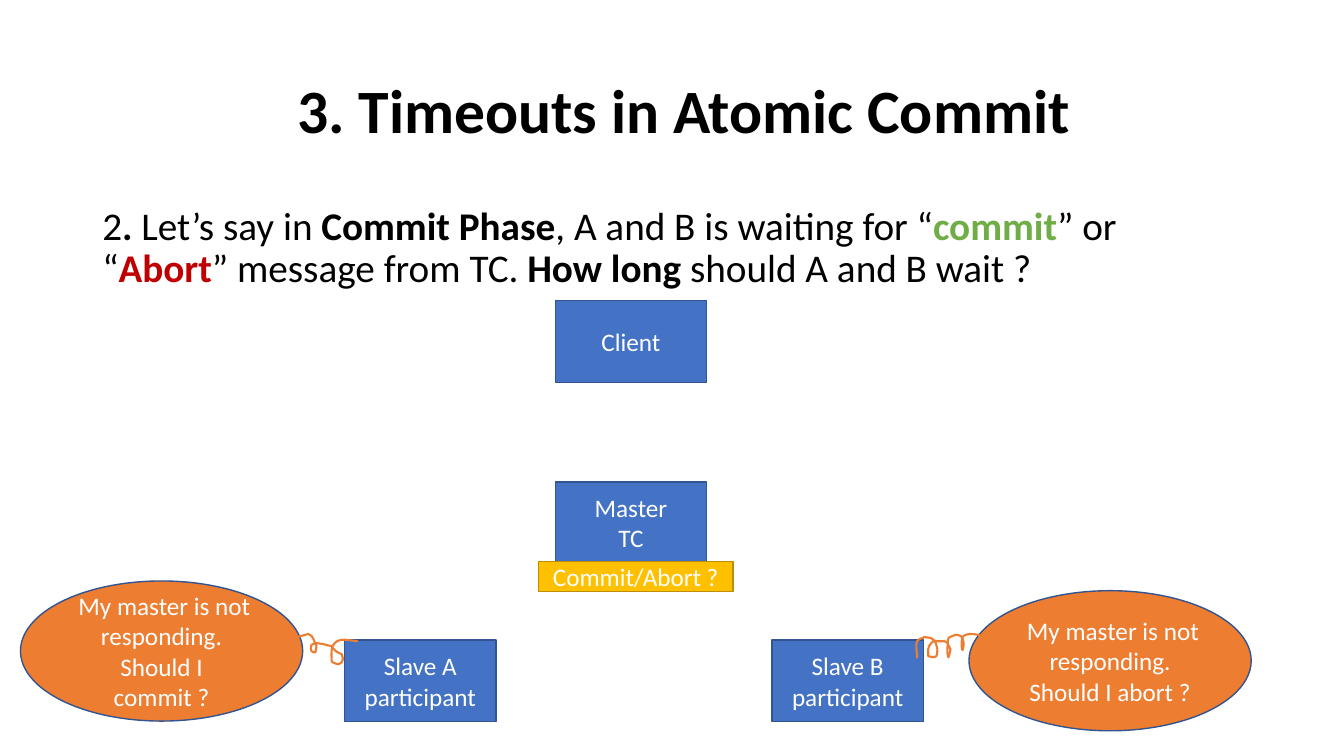
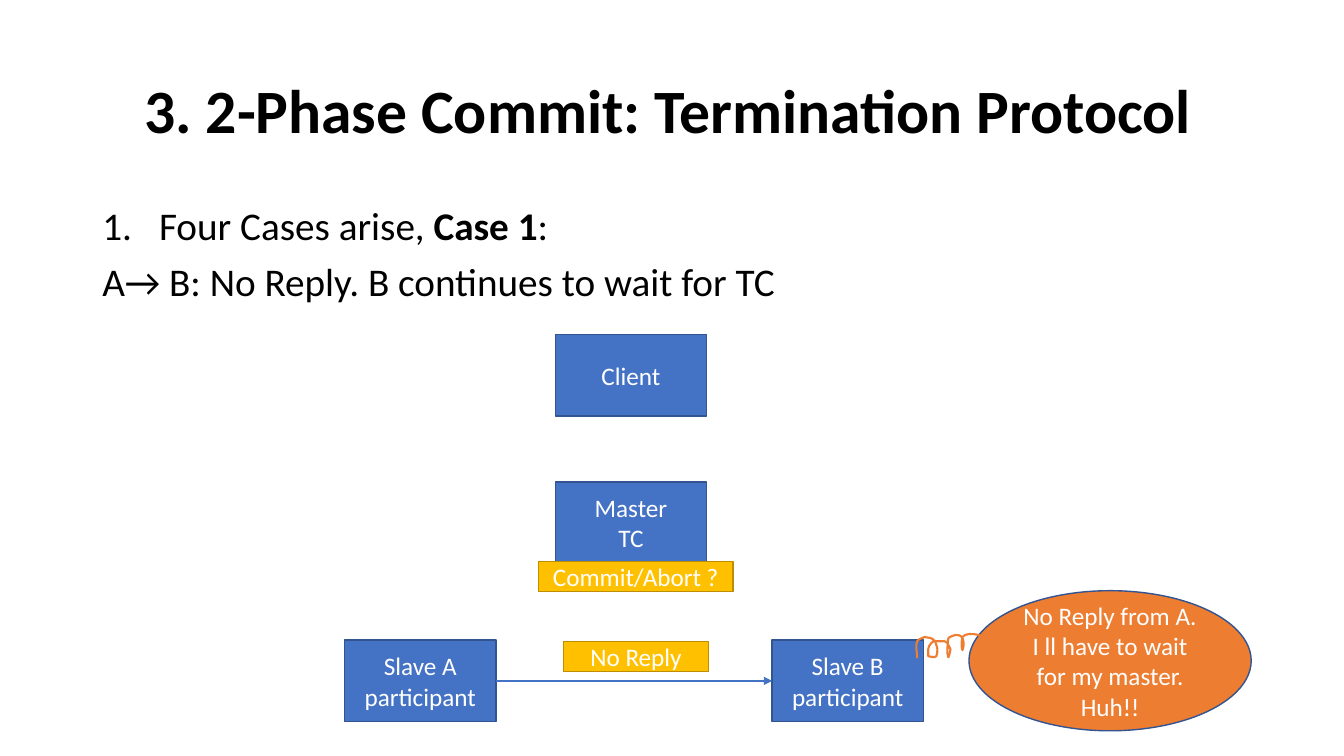
from lxml.etree import SubElement
from pptx import Presentation
from pptx.dml.color import RGBColor
from pptx.enum.shapes import MSO_CONNECTOR as Connector, MSO_SHAPE as Shape
from pptx.enum.text import MSO_ANCHOR as Anchor, PP_ALIGN as Align
from pptx.oxml.ns import qn
from pptx.util import Emu, Pt

COLUMNS, ROWS = 80, 45
CELL = 152400
FONT = "Calibri"
COLORS = {
    "black": "000000", "white": "FFFFFF", "green": "70AD47", "red": "C00000",
    "blue": "4472C4", "navy": "325491", "orange": "ED7D31",
    "gold": "FFC000", "bronze": "BD8E00",
}
BOX_SIZE = (9, 4.86)
BUBBLE_SIZE = (16.8, 8.34)
BODY_SIZE = 28
NODE_COLUMN = 33.06
SLAVE_ROW = 38.1
SLAVE_COLUMNS = {"Slave A": 20.52, "Slave B": 45.96}
SQUIGGLE_UNIT = 0.06
LEFT_SQUIGGLE = [
    (0, 16), (2, 9), (1, 6), (9, 3), (11, 2), (14, 2), (16, 1),
    (17, 1), (19, 0), (20, 0), (23, 2), (24, 2), (25, 5),
    (26, 8), (28, 12), (28, 12), (27, 14), (28, 17), (27, 18),
    (26, 19), (24, 18), (23, 17), (21, 10), (24, 10), (28, 9),
    (30, 9), (32, 10), (35, 10), (36, 10), (37, 11), (38, 11),
    (40, 12), (41, 12), (43, 12), (44, 14), (45, 15), (46, 16),
    (48, 18), (53, 20), (53, 20), (54, 23), (55, 25), (53, 28),
    (52, 29), (51, 29), (50, 30), (48, 29), (46, 30), (44, 28),
    (43, 28), (43, 26), (43, 25), (43, 19), (42, 13), (46, 9),
    (52, 3), (62, 7), (69, 7),
]
RIGHT_SQUIGGLE = [
    (1, 24), (1, 18), (-1, 12), (1, 7), (2, 5), (7, 4), (8, 3),
    (13, 4), (16, 3), (19, 8), (20, 10), (21, 15), (21, 15),
    (21, 17), (21, 20), (20, 22), (18, 24), (13, 22), (12, 22),
    (12, 16), (11, 13), (15, 9), (16, 8), (17, 7), (19, 7),
    (28, 8), (29, 5), (32, 11), (33, 12), (33, 14), (34, 15),
    (33, 17), (34, 20), (32, 23), (32, 24), (31, 20), (31, 19),
    (31, 14), (31, 9), (32, 4), (33, 3), (38, 1), (39, 1),
    (41, 1), (43, 1), (44, 2), (46, 3), (47, 7), (47, 9),
    (47, 11), (47, 14), (46, 16), (46, 17), (45, 14), (45, 12),
    (45, 9), (45, 6), (46, 3), (47, 1), (52, 0), (53, 0),
    (56, 0), (59, 0), (62, 1), (63, 1), (63, 3), (63, 4),
    (64, 5), (65, 6), (66, 7),
]


def cells(*values):
    """Turn grid cells into lengths."""
    return [Emu(round(value * CELL)) for value in values]


def rgb(name):
    """Look up a named colour."""
    return RGBColor.from_string(COLORS[name])


def bend(shape):
    """Join every three straight segments of a freeform into one cubic curve."""
    segments = list(shape._element.iter(qn("a:lnTo")))
    for first in range(0, len(segments), 3):
        trio = segments[first:first + 3]
        outline = trio[0].getparent()
        curve = SubElement(outline, qn("a:cubicBezTo"))
        for segment in trio:
            curve.append(segment[0])
            outline.remove(segment)


def write_text(shape, paragraphs, size=18, color="white", bold=False, align=Align.CENTER,
               anchor=Anchor.MIDDLE, line_spacing=None, space_before=0, indent=0, numbered=()):
    """Fill a shape with paragraphs made of strings or (string, format) runs."""
    frame = shape.text_frame
    frame.word_wrap = True
    frame.vertical_anchor = anchor
    for index, runs in enumerate(paragraphs):
        paragraph = frame.paragraphs[0] if index == 0 else frame.add_paragraph()
        properties = paragraph._p.get_or_add_pPr()
        if index in numbered:
            hanging = cells(3.38)[0]
            properties.set("marL", str(hanging))
            properties.set("indent", str(-hanging))
            SubElement(properties, qn("a:buAutoNum"), type="arabicPeriod")
        elif indent:
            properties.set("marL", str(cells(indent)[0]))
        paragraph.alignment = align
        if line_spacing:
            paragraph.line_spacing = line_spacing
        if index and space_before:
            paragraph.space_before = Pt(space_before)
        for part in [runs] if isinstance(runs, str) else runs:
            text, style = (part, {}) if isinstance(part, str) else part
            run = paragraph.add_run()
            run.text = text
            run.font.name = FONT
            run.font.size = Pt(size)
            run.font.bold = style.get("bold", bold)
            run.font.color.rgb = rgb(style.get("color", color))


class Deck:
    """Hold the shared style and the current slide."""

    def __init__(self):
        """Open an empty presentation on the grid."""
        self.presentation = Presentation()
        self.presentation.slide_width, self.presentation.slide_height = cells(COLUMNS, ROWS)
        self.slide = None

    def add_slide(self, title, indent, body, **body_format):
        """Start a slide with its title and body text."""
        self.slide = self.presentation.slides.add_slide(self.presentation.slide_layouts[6])
        self.text_box(2.4, 8.7, [title], size=44, bold=True, indent=indent)
        self.text_box(12, 28.56, body, size=BODY_SIZE, anchor=Anchor.TOP,
                      space_before=10, **body_format)

    def text_box(self, row, height, paragraphs, **text_format):
        """Add black text across the content width."""
        box = self.slide.shapes.add_textbox(*cells(5.5, row, 69, height))
        write_text(box, paragraphs, color="black", align=Align.LEFT, line_spacing=0.9,
                   **text_format)

    def block(self, kind, column, row, size, fill, line, *paragraphs):
        """Add a filled, outlined shape with centred text."""
        shape = self.slide.shapes.add_shape(kind, *cells(column, row, *size))
        shape.shadow.inherit = False
        shape.fill.solid()
        shape.fill.fore_color.rgb = rgb(fill)
        shape.line.color.rgb = rgb(line)
        shape.line.width = Pt(1)
        write_text(shape, paragraphs)

    def node(self, column, row, *paragraphs):
        """Add a blue system node."""
        self.block(Shape.RECTANGLE, column, row, BOX_SIZE, "blue", "navy", *paragraphs)

    def tag(self, column, row, width, text):
        """Add a gold message tag."""
        self.block(Shape.RECTANGLE, column, row, (width, 1.8), "gold", "bronze", text)

    def bubble(self, column, row, text):
        """Add an orange thought bubble."""
        self.block(Shape.OVAL, column, row, BUBBLE_SIZE, "orange", "navy", text)

    def squiggle(self, column, row, points):
        """Add a curly line that ties a bubble to its node."""
        builder = self.slide.shapes.build_freeform(*points[0], scale=SQUIGGLE_UNIT * CELL)
        builder.add_line_segments(points[1:], close=False)
        shape = builder.convert_to_shape(*cells(column, row))
        bend(shape)
        shape.shadow.inherit = False
        shape.fill.background()
        shape.line.color.rgb = rgb("orange")
        shape.line.width = Pt(1.5)

    def arrow(self, *ends):
        """Add a blue arrow between two grid points."""
        connector = self.slide.shapes.add_connector(Connector.STRAIGHT, *cells(*ends))
        connector.line.color.rgb = rgb("blue")
        connector.line.width = Pt(1.5)
        SubElement(connector.line._get_or_add_ln(), qn("a:tailEnd"), type="triangle")
        SubElement(connector._element.spPr, qn("a:effectLst"))

    def commit_diagram(self, client_row, thought):
        """Draw the client, the master, both slaves and the thought of slave B."""
        self.node(NODE_COLUMN, 28.68, "Master", "TC")
        for name, column in SLAVE_COLUMNS.items():
            self.node(column, SLAVE_ROW, name, "participant")
        self.node(NODE_COLUMN, client_row, "Client")
        self.tag(32.04, 33.42, 11.6, "Commit/Abort ?")
        self.bubble(57.68, 35.16, thought)
        self.squiggle(54.54, 37.74, RIGHT_SQUIGGLE)


def main():
    """Build both slides and save them."""
    strong = {"bold": True}
    deck = Deck()

    deck.add_slide("3. Timeouts in Atomic Commit", 11.6, [[
        "2", (".", strong), " Let’s say in ", ("Commit Phase", strong),
        ", A and B is waiting for “", ("commit", {"bold": True, "color": "green"}),
        "” or “", ("Abort", {"bold": True, "color": "red"}),
        "” message from TC. ", ("How long ", strong), "should A and B wait ?",
    ]])
    deck.commit_diagram(17.9, " My master is not responding. Should I abort ?")
    deck.bubble(1.22, 34.58, " My master is not responding. Should I commit ?")
    deck.squiggle(17.16, 37.74, LEFT_SQUIGGLE)

    deck.add_slide("3. 2-Phase Commit: Termination Protocol", 2.5, [
        ["Four Cases arise, ", ("Case 1", strong), ":"],
        "A→ B: No Reply. B continues to wait for TC",
    ], numbered=(0,))
    deck.commit_diagram(19.9, "No Reply from A. I ll have to wait for my master. Huh!!")
    arrow_row = SLAVE_ROW + BOX_SIZE[1] / 2
    deck.arrow(SLAVE_COLUMNS["Slave A"] + BOX_SIZE[0], arrow_row,
               SLAVE_COLUMNS["Slave B"], arrow_row)
    deck.tag(33.54, 38.18, 8.64, "No Reply")

    deck.presentation.save("out.pptx")


if __name__ == "__main__":
    main()
